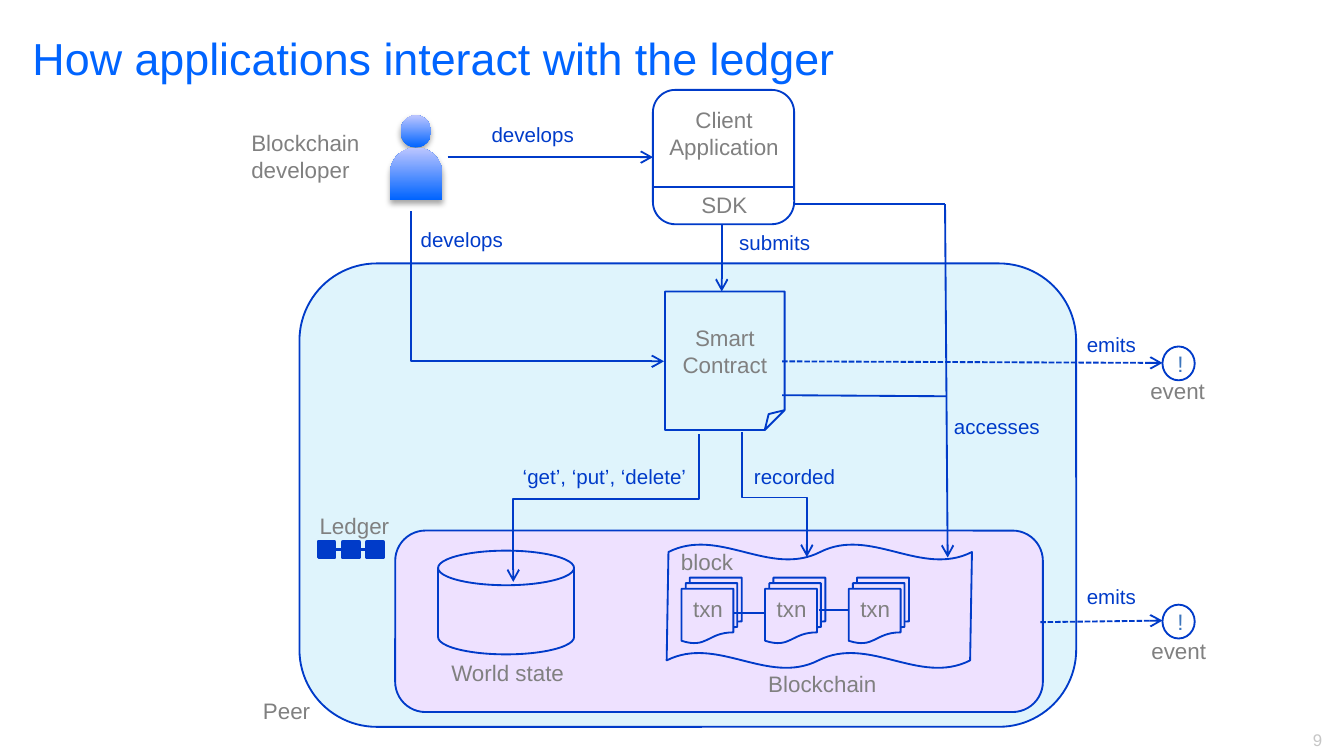
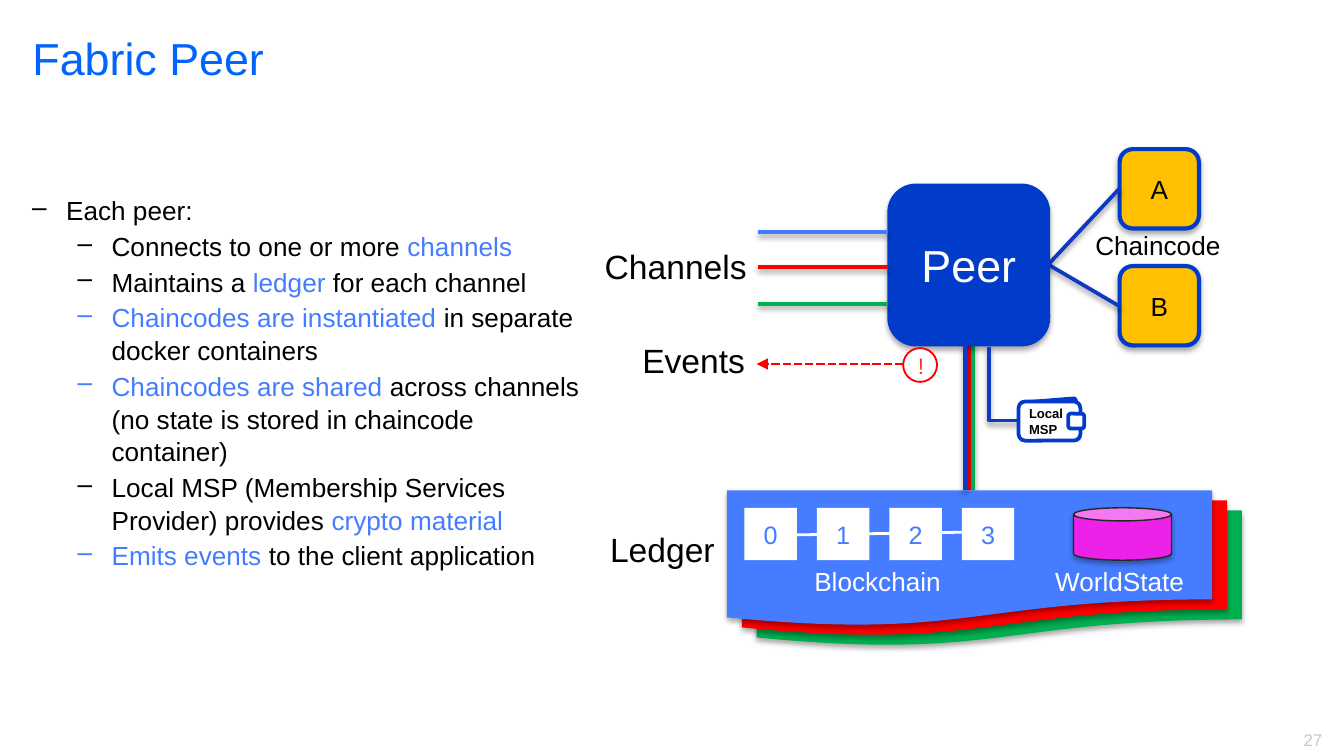
"""Build two slides on how a blockchain peer, its ledger and applications interact."""
import pptx
import pptx.dml.color
import pptx.enum.dml
import pptx.enum.shapes
import pptx.enum.text
import pptx.oxml
import pptx.oxml.ns
import pptx.util

Cm = pptx.util.Cm
Pt = pptx.util.Pt
RGBColor = pptx.dml.color.RGBColor
SHAPE = pptx.enum.shapes.MSO_SHAPE
CONNECTOR = pptx.enum.shapes.MSO_CONNECTOR
ALIGN = pptx.enum.text.PP_ALIGN
ANCHOR = pptx.enum.text.MSO_ANCHOR
DASH = pptx.enum.dml.MSO_LINE.SQUARE_DOT

NAVY = RGBColor(0x00, 0x3B, 0xC9)
DEEP_BLUE = RGBColor(0x0F, 0x38, 0xC3)
TITLE_BLUE = RGBColor(0x00, 0x64, 0xFF)
LIGHT_BLUE = RGBColor(0x45, 0x7C, 0xFF)
LEDGER_BLUE = RGBColor(0x46, 0x7C, 0xFF)
MARK_BLUE = RGBColor(0x3C, 0x75, 0xBC)
PALE_BLUE = RGBColor(0xBD, 0xC6, 0xFF)
SKY = RGBColor(0xDF, 0xF4, 0xFC)
LILAC = RGBColor(0xEE, 0xE1, 0xFF)
GREY = RGBColor(0x80, 0x80, 0x80)
PAGE_GREY = RGBColor(0xC6, 0xC6, 0xC6)
BLACK = RGBColor(0x00, 0x00, 0x00)
DARK = RGBColor(0x26, 0x26, 0x26)
WHITE = RGBColor(0xFF, 0xFF, 0xFF)
RED = RGBColor(0xFF, 0x00, 0x00)
MARK_RED = RGBColor(0xFF, 0x32, 0x20)
GREEN = RGBColor(0x00, 0xB0, 0x50)
AMBER = RGBColor(0xFF, 0xC0, 0x00)
MAGENTA = RGBColor(0xED, 0x21, 0xE7)


class Deck:
    def __init__(self):
        self.prs = pptx.Presentation()
        self.prs.slide_width, self.prs.slide_height = Cm(25.4), Cm(14.29)
        self.s = None

    def slide(self, title, number):
        self.s = self.prs.slides.add_slide(self.prs.slide_layouts[5])
        sp = self.s.shapes.title
        box = {"left": 0.36, "top": 0.41, "width": 21.59, "height": 2.82}
        for name, value in box.items():
            setattr(sp, name, Cm(value))
        tf = sp.text_frame
        tf.auto_size = pptx.enum.text.MSO_AUTO_SIZE.NONE
        tf.vertical_anchor = ANCHOR.TOP
        self.text(tf, title, 24, TITLE_BLUE)
        tf.paragraphs[0].line_spacing = 1.05
        self.label(str(number), 23.77, 13.67, 1.47, 0.64, size=9,
                   color=PAGE_GREY, align=ALIGN.RIGHT)

    def run(self, p, text, size, color, bold=False):
        r = p.add_run()
        r.text = text
        for name, value in {"name": "Arial", "size": Pt(size), "bold": bold}.items():
            setattr(r.font, name, value)
        r.font.color.rgb = color

    def text(self, tf, text, size, color, align=ALIGN.LEFT, bold=False):
        for i, line in enumerate(text.split("\n")):
            p = tf.add_paragraph() if i else tf.paragraphs[0]
            p.alignment = align
            self.run(p, line, size, color, bold)

    def label(self, text, x, y, w, h, size=12, color=GREY, align=ALIGN.LEFT,
              wrap=True, bold=False):
        tf = self.s.shapes.add_textbox(Cm(x), Cm(y), Cm(w), Cm(h)).text_frame
        tf.word_wrap = wrap
        self.text(tf, text, size, color, align, bold)

    def bullets(self, lines, x, y, w, h):
        tf = self.s.shapes.add_textbox(Cm(x), Cm(y), Cm(w), Cm(h)).text_frame
        tf.word_wrap = True
        for i, line in enumerate(lines):
            p = tf.add_paragraph() if i else tf.paragraphs[0]
            p.level = min(i, 1)
            pPr = p._p.get_or_add_pPr()
            pPr.set("marL", str(Cm(1.5 if i else 0.64)))
            pPr.set("indent", str(-Cm(0.64)))
            pPr.append(self.xml('<a:buChar %s char="–"/>'))
            spacing = {"line_spacing": 1.05, "space_after": Pt(0.7),
                       "space_before": Pt(0.7 if i else 0)}
            for name, value in spacing.items():
                setattr(p, name, value)
            for j, part in enumerate(line.split("|")):
                if part:
                    self.run(p, part, 14, LIGHT_BLUE if j % 2 else BLACK)

    def xml(self, text):
        return pptx.oxml.parse_xml(text % pptx.oxml.ns.nsdecls("a"))

    def effects(self, sp, shadow, alpha):
        spPr = sp._element.spPr
        for old in spPr.findall(pptx.oxml.ns.qn("a:effectLst")):
            spPr.remove(old)
        inner = (f'<a:outerShdw blurRad="{Pt(3.1)}" dist="{Pt(1.8)}" dir="5400000" '
                 'rotWithShape="0"><a:srgbClr val="000000">'
                 f'<a:alpha val="{alpha * 1000}"/></a:srgbClr></a:outerShdw>')
        spPr.append(self.xml("<a:effectLst %s>" + (inner if shadow else "") + "</a:effectLst>"))

    def shape(self, kind, x, y, w, h, fill=None, line=NAVY, width=1, text="",
              size=12, color=GREY, inset=0.25, adj=(), shadow=False, rot=0):
        sp = self.s.shapes.add_shape(kind, Cm(x), Cm(y), Cm(w), Cm(h))
        sp.rotation = rot
        for i, value in enumerate(adj):
            sp.adjustments[i] = value
        if fill is None:
            sp.fill.background()
        elif isinstance(fill, list):
            sp.fill.gradient()
            sp.fill.gradient_angle = 90
            for i, (stop, rgb) in enumerate(zip(sp.fill.gradient_stops, fill)):
                stop.color.rgb = rgb
                stop.position = i
        else:
            sp.fill.solid()
            sp.fill.fore_color.rgb = fill
        if line is None:
            sp.line.fill.background()
        else:
            sp.line.color.rgb = line
            sp.line.width = Pt(width)
        sp.shadow.inherit = False
        self.effects(sp, shadow, 35)
        if text:
            tf = sp.text_frame
            frame = {"word_wrap": True, "vertical_anchor": ANCHOR.MIDDLE,
                     "margin_left": Cm(inset), "margin_right": Cm(inset)}
            for name, value in frame.items():
                setattr(tf, name, value)
            self.text(tf, text, size, color, ALIGN.CENTER)

    def line(self, x1, y1, x2, y2, color=NAVY, width=1, head=None, dash=None,
             shadow=False, kind=CONNECTOR.STRAIGHT):
        sp = self.s.shapes.add_connector(kind, Cm(x1), Cm(y1), Cm(x2), Cm(y2))
        sp.line.color.rgb = color
        sp.line.width = Pt(width)
        if dash:
            sp.line.dash_style = dash
        if head:
            sp.line._get_or_add_ln().append(self.xml(f'<a:tailEnd %s type="{head}"/>'))
        self.effects(sp, shadow, 38)
        return sp

    def elbow(self, x, y, w, h, rot, flip=False, adj=None, **style):
        sp = self.line(x, y, x + w, y + h, kind=CONNECTOR.ELBOW, **style)
        spPr = sp._element.spPr
        spPr.xfrm.set("rot", str(rot * 60000))
        if flip:
            spPr.xfrm.set("flipH", "1")
        geom = spPr.find(pptx.oxml.ns.qn("a:prstGeom"))
        if adj is None:
            geom.set("prst", "bentConnector2")
        else:
            for old in list(geom):
                geom.remove(old)
            geom.append(self.xml('<a:avLst %s><a:gd name="adj1" '
                                 f'fmla="val {round(adj * 100000)}"/></a:avLst>'))

    def event(self, x, y, size, line, color):
        self.shape(SHAPE.OVAL, x, y, size, 0.64, WHITE, line)
        self.label("!", x + 0.03, y - 0.05, 0.58, 0.76, color=color,
                   align=ALIGN.CENTER, wrap=False)


def ledger_slide(d):
    d.slide("How applications interact with the ledger", 9)
    d.shape(SHAPE.ROUNDED_RECTANGLE, 5.66, 4.98, 14.68, 8.76, SKY)
    d.shape(SHAPE.ROUNDED_RECTANGLE, 7.47, 10.03, 12.24, 3.43, LILAC)
    d.shape(SHAPE.FOLDED_CORNER, 12.57, 5.51, 2.26, 2.62, text="Smart Contract", inset=0.2)

    d.elbow(8.74, 3.02, 2.84, 4.78, 270, flip=True, head="arrow")
    d.elbow(13.46, 8.74, 2.36, 1.22, 270, flip=True, adj=0.524, head="arrow")
    d.elbow(10.06, 7.85, 2.79, 3.51, 90, adj=0.44, head="arrow")
    for x1, y1, x2, y2, head, dash in (
            (13.64, 4.24, 13.64, 5.51, "arrow", None),
            (8.46, 2.97, 12.34, 2.97, "arrow", None),
            (19.66, 11.76, 21.97, 11.73, "arrow", DASH),
            (14.78, 6.83, 21.97, 6.86, "arrow", DASH),
            (14.78, 7.47, 17.88, 7.49, None, None),
            (15.01, 3.86, 17.86, 3.86, None, None),
            (17.86, 3.86, 17.91, 10.54, "arrow", None)):
        d.line(x1, y1, x2, y2, head=head, dash=dash)

    for text, x, y, w in (
            ("submits", 13.72, 4.22, 1.85), ("develops", 7.7, 4.17, 2.08),
            ("develops", 9.04, 2.18, 2.08), ("recorded", 14, 8.64, 2.31),
            ("accesses", 17.78, 7.7, 2.16), ("emits", 20.29, 6.15, 1.45),
            ("emits", 20.29, 10.92, 1.45), ("‘get’, ‘put’, ‘delete’", 9.63, 8.64, 3.63)):
        d.label(text, x, y, w, 0.74, size=11, color=NAVY, wrap=text == "recorded")
    for text, x, y, w in (
            ("Blockchain\ndeveloper", 4.5, 2.31, 2.69), ("event", 21.49, 7.01, 1.55),
            ("event", 21.51, 11.91, 1.55), ("Ledger", 5.79, 9.55, 1.88),
            ("block", 12.62, 10.24, 1.5), ("Peer", 4.72, 13.06, 1.45)):
        d.label(text, x, y, w, 0.76, wrap=False)
    d.label("World state", 8.28, 12.34, 3, 0.76)
    d.label("Blockchain", 14.27, 12.55, 2.62, 0.76)

    d.label("Client\nApplication", 12.29, 1.88, 2.79, 1.27, align=ALIGN.CENTER)
    d.shape(SHAPE.ROUNDED_RECTANGLE, 12.34, 1.7, 2.67, 2.54)
    d.line(12.34, 3.53, 15.01, 3.53)
    d.label("SDK", 12.85, 3.48, 1.68, 0.76, align=ALIGN.CENTER)

    for i in range(3):
        d.shape(SHAPE.RECTANGLE, 6.02 + 0.46 * i, 10.24, 0.3, 0.3, NAVY, width=2)
    d.line(6.32, 10.39, 6.94, 10.39, width=1.5)
    for y in (6.55, 11.43):
        d.event(21.97, y, 0.61, NAVY, MARK_BLUE)

    d.shape(SHAPE.FLOWCHART_MAGNETIC_DISK, 8.28, 10.41, 2.57, 1.96)
    d.shape(SHAPE.DOUBLE_WAVE, 12.6, 10.29, 5.77, 2.34, adj=(0.062, -0.003))
    for i in range(3):
        x = 12.88 + 1.58 * i
        d.shape(SHAPE.FLOWCHART_MULTIDOCUMENT, x, 10.92, 1.14, 1.24)
        d.label("txn", x - 0.03, 11.13, 1.09, 0.76, wrap=False)
    d.line(13.87, 11.58, 14.45, 11.58)
    d.line(15.47, 11.53, 16.05, 11.53)

    person = {"fill": [TITLE_BLUE, PALE_BLUE], "line": None, "shadow": True}
    d.shape(SHAPE.OVAL, 7.57, 2.18, 0.58, 0.61, **person)
    d.shape(SHAPE.ROUND_2_SAME_RECTANGLE, 7.37, 2.79, 0.99, 0.99, adj=(0.497, 0), **person)


def peer_slide(d):
    d.slide("Fabric Peer", 27)
    wire = {"width": 2, "shadow": True}
    d.line(18.31, 9.27, 18.31, 6.5, RED, **wire)
    d.line(18.39, 9.27, 18.39, 6.5, GREEN, **wire)
    for i, color in enumerate((GREEN, RED, LEDGER_BLUE)):
        d.shape(SHAPE.FLOWCHART_DOCUMENT, 14.3 - 0.28 * i, 9.65 - 0.19 * i, 9.17, 2.57,
                color, None, shadow=True)

    d.line(15.06, 10.11, 18.19, 10.06, WHITE, 1.5)
    for i in range(4):
        d.shape(SHAPE.RECTANGLE, 14.07 + 1.37 * i, 9.6, 0.99, 0.99, WHITE, None,
                text=str(i), size=13.5, color=LIGHT_BLUE)
    d.shape(SHAPE.CAN, 20.29, 9.6, 1.85, 0.99, MAGENTA, DARK, 0.75, shadow=True)

    for name, y, middle in (("A", 2.82, 3.56), ("B", 5.03, 5.79)):
        d.shape(SHAPE.ROUNDED_RECTANGLE, 21.16, y, 1.5, 1.5, AMBER, width=2.25,
                text=name, size=14, color=BLACK, inset=0, shadow=True)
        d.line(21.16, middle, 19.81, 5, DEEP_BLUE, **wire)
    d.shape(SHAPE.ROUNDED_RECTANGLE, 16.81, 3.51, 3, 3, NAVY, width=2.25,
            text="Peer", size=24, color=WHITE, shadow=True)
    for y, color in ((4.39, LIGHT_BLUE), (5.05, RED), (5.74, GREEN)):
        d.line(16.79, y, 14.33, y, color, **wire)
    d.line(17.07, 6.88, 14.3, 6.88, RED, 1.5, head="triangle", dash=DASH)
    d.event(17.07, 6.58, 0.64, RED, MARK_RED)

    for text, x, y, w, size, color in (
            ("Ledger", 11.28, 9.88, 2.51, 18, BLACK),
            ("Events", 11.89, 6.3, 2.51, 18, BLACK),
            ("Channels", 11.18, 4.52, 3.2, 18, BLACK),
            ("Chaincode", 20.45, 4.22, 3.2, 14, BLACK),
            ("Blockchain", 15.14, 10.57, 2.95, 14, WHITE),
            ("WorldState", 19.69, 10.57, 3.1, 14, WHITE)):
        d.label(text, x, y, w, 1, size=size, color=color)

    d.bullets(("Each peer:",
               "Connects to one or more |channels",
               "Maintains a |ledger| for each channel",
               "|Chaincodes are instantiated |in separate docker containers",
               "|Chaincodes are shared |across channels (no state is stored in "
               "chaincode container)",
               "Local MSP (Membership Services Provider) provides |crypto material",
               "|Emits events |to the client application"), 0.36, 3.53, 11, 8.23)

    d.elbow(18.69, 6.55, 1.02, 1.4, 180, color=DEEP_BLUE, **wire)
    wallet = {"fill": WHITE, "width": 2}
    d.shape(SHAPE.ROUNDED_RECTANGLE, 19.3, 7.57, 1.04, 0.23, rot=355.4, **wallet)
    d.shape(SHAPE.ROUNDED_RECTANGLE, 19.25, 7.59, 1.17, 0.74, **wallet)
    d.label("Local\nMSP", 19.2, 7.54, 1.42, 0.86, size=7, color=BLACK, bold=True)
    d.shape(SHAPE.ROUNDED_RECTANGLE, 20.19, 7.82, 0.3, 0.28, **wallet)
    d.line(18.24, 9.27, 18.24, 6.5, DEEP_BLUE, **wire)


def main():
    d = Deck()
    ledger_slide(d)
    peer_slide(d)
    d.prs.save("out.pptx")


if __name__ == "__main__":
    main()
